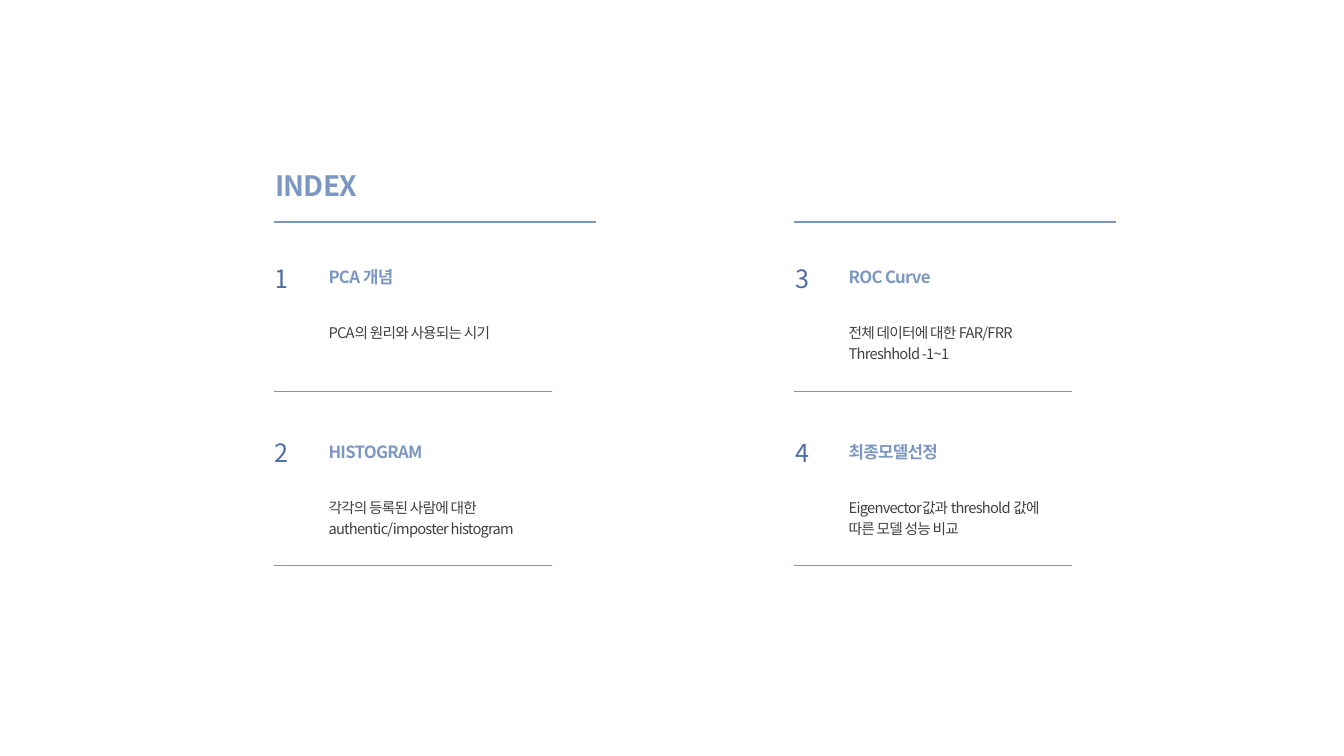
import pptx
import pptx.dml.color
import pptx.enum.shapes
import pptx.enum.text
import pptx.oxml
import pptx.oxml.ns
import pptx.util
from pptx.util import Cm

COLORS = {"heading": "7C97C2", "number": "2F5597", "body": "000000"}
FONT = "Noto Sans CJK KR"

NUMBER_LEFT, RULE_LEFT, TEXT_LEFT = 6.68, 6.91, 8.03
COLUMN_STEP, ROW_STEP = 13.11, 4.4
HEADING_RULE_TOP, FIRST_ROW_TOP = 5.59, 6.5

# Heading, heading width, description, description width; in column order
TOPICS = [
    ("PCA 개념", 2.36, "PCA의 원리와 사용되는 시기", 5.18),
    ("HISTOGRAM", 3.18, "각각의 등록된 사람에 대한\nauthentic/imposter histogram", 5.56),
    ("ROC Curve", 2.82, "전체 데이터에 대한 FAR/FRR\nThreshhold -1~1", 5.28),
    ("최종모델선정", 2.97, "Eigenvector값과 threshold 값에\n따른 모델 성능 비교", 5.89),
]


class IndexSlide:
    def __init__(self, deck):
        self.slide = deck.slides.add_slide(deck.slide_layouts[5])

    def style(self, box, color, size, bold=False, spacing=1.2, opacity=100):
        """Format every run; opacity is a percentage."""
        frame = box.text_frame
        frame.word_wrap = False
        frame.auto_size = pptx.enum.text.MSO_AUTO_SIZE.SHAPE_TO_FIT_TEXT
        frame.vertical_anchor = pptx.enum.text.MSO_ANCHOR.TOP
        for para in frame.paragraphs:
            para.alignment = pptx.enum.text.PP_ALIGN.LEFT
            para.line_spacing = spacing
            for span in para.runs:
                span.font.size = pptx.util.Pt(size)
                span.font.bold = bold
                span.font.name = FONT
                span.font.color.rgb = pptx.dml.color.RGBColor.from_string(COLORS[color])
                properties = span.font._element
                properties.set("spc", "-50")
                if opacity < 100:
                    tint = properties.find(".//" + pptx.oxml.ns.qn("a:srgbClr"))
                    alpha = pptx.oxml.parse_xml(
                        f'<a:alpha {pptx.oxml.ns.nsdecls("a")} val="{opacity * 1000}"/>')
                    tint.append(alpha)
                east_asian = pptx.oxml.parse_xml(
                    f'<a:ea {pptx.oxml.ns.nsdecls("a")} typeface="{FONT}"/>')
                properties.find(pptx.oxml.ns.qn("a:latin")).addnext(east_asian)

    def title(self, text, left, top, width, height):
        box = self.slide.shapes.title
        box.left, box.top, box.width, box.height = Cm(left), Cm(top), Cm(width), Cm(height)
        box.text_frame.text = text
        self.style(box, "heading", 20, bold=True, spacing=1.14)

    def text(self, text, left, top, width, height, color, size, **options):
        box = self.slide.shapes.add_textbox(Cm(left), Cm(top), Cm(width), Cm(height))
        box.text_frame.text = text
        self.style(box, color, size, **options)

    def rule(self, left, top, length, weight):
        line = self.slide.shapes.add_connector(
            pptx.enum.shapes.MSO_CONNECTOR.STRAIGHT,
            Cm(left), Cm(top), Cm(left + length), Cm(top))
        line.line.color.rgb = pptx.dml.color.RGBColor.from_string(COLORS["heading"])
        line.line.width = pptx.util.Pt(weight)
        line._element.spPr.append(
            pptx.oxml.parse_xml(f'<a:effectLst {pptx.oxml.ns.nsdecls("a")}/>'))

    def topic(self, number, shift, top, heading, heading_width, body, body_width):
        self.text(str(number), NUMBER_LEFT + shift, top, 0.88, 1.02,
                  "number", 18, spacing=1.0, opacity=85)
        self.text(heading, TEXT_LEFT + shift, top, heading_width, 0.84,
                  "heading", 12, bold=True)
        body_height = 0.79 + 0.56 * body.count("\n")
        self.text(body, TEXT_LEFT + shift, top + 1.45, body_width, body_height,
                  "body", 10.5, opacity=75)
        self.rule(RULE_LEFT + shift, top + 3.35, 7.0, 0.5)


def main():
    deck = pptx.Presentation()
    deck.slide_width, deck.slide_height = Cm(33.87), Cm(19.05)
    index = IndexSlide(deck)
    index.title("INDEX", NUMBER_LEFT, 4.01, 2.62, 1.14)
    for column in range(2):
        index.rule(RULE_LEFT + column * COLUMN_STEP, HEADING_RULE_TOP, 8.1, 1.5)
    for position, topic in enumerate(TOPICS):
        column, row = divmod(position, 2)
        index.topic(position + 1, column * COLUMN_STEP,
                    FIRST_ROW_TOP + row * ROW_STEP, *topic)
    deck.save("out.pptx")


if __name__ == "__main__":
    main()
